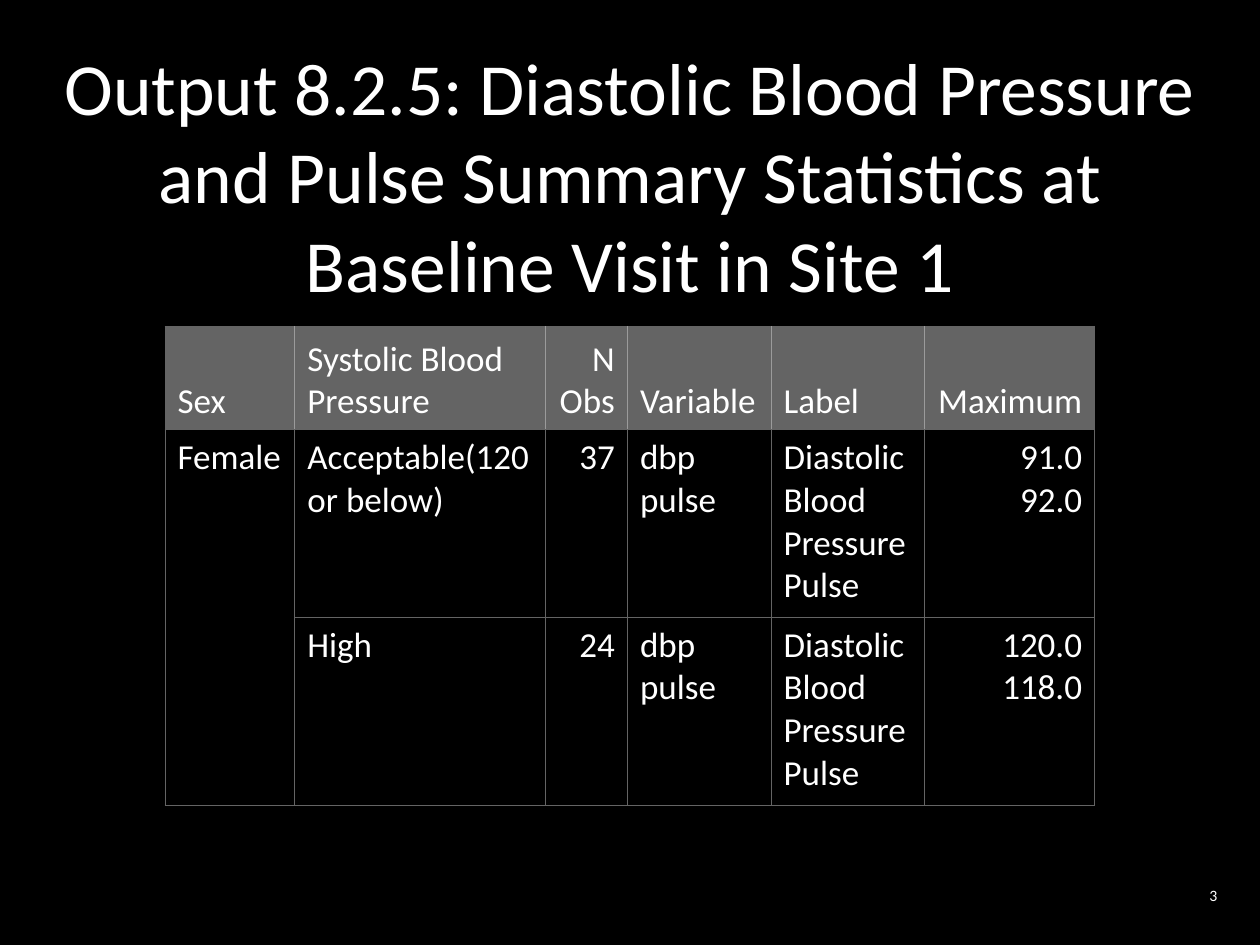
from lxml import etree
from pptx import Presentation
from pptx.dml.color import RGBColor
from pptx.enum.text import MSO_ANCHOR, MSO_AUTO_SIZE, PP_ALIGN
from pptx.oxml.ns import qn
from pptx.util import Inches, Pt

LEFT, MID, RIGHT = PP_ALIGN.LEFT, PP_ALIGN.CENTER, PP_ALIGN.RIGHT
TOP, CENTER, BOTTOM = MSO_ANCHOR.TOP, MSO_ANCHOR.MIDDLE, MSO_ANCHOR.BOTTOM

# Content
TITLE = ("Output 8.2.5: Diastolic Blood Pressure\n"
         "and Pulse Summary Statistics at\n"
         "Baseline Visit in Site 1")
PAGE = "3"
VARS = "dbp\npulse"
LABELS = "Diastolic\nBlood\nPressure\nPulse"
ROWS = [
    ("Sex", "Systolic Blood\nPressure", "N\nObs", "Variable", "Label",
     "Maximum"),
    ("Female", "Acceptable(120\nor below)", "37", VARS, LABELS,
     "91.0\n92.0"),
    ("", "High", "24", VARS, LABELS, "120.0\n118.0"),
]
ALIGNS = (LEFT, LEFT, RIGHT, LEFT, LEFT, RIGHT)
WIDTHS = (1.03, 1.99, 0.65, 1.14, 1.22, 1.35)
HEIGHTS = (0.82, 1.49, 1.49)

THEME = {
    "font": "Calibri", "back": "000000", "text": "FFFFFF",
    "grid": "646464", "inner": "9B9B9B",
    "title": 42, "cell": 20, "page": 9, "line": 0.5,
}


def color(name):
    return RGBColor.from_string(THEME[name])


def write(frame, text, size, align, anchor):
    """Put text in a frame, one run per line."""
    frame.word_wrap = True
    frame.vertical_anchor = anchor
    para = frame.paragraphs[0]
    para.alignment = align
    for i, line in enumerate(text.split("\n")):
        if i:
            para.add_line_break()
        run = para.add_run()
        run.text = line
        run.font.name = THEME["font"]
        run.font.size = Pt(THEME[size])
        run.font.color.rgb = color("text")


def border(cell, sides):
    """Draw cell edges; sides maps L, R, T, B to theme colours."""
    props = cell._tc.get_or_add_tcPr()
    for side, name in sides.items():
        line = etree.SubElement(props, qn("a:ln" + side),
                                w=str(Pt(THEME["line"])))
        fill = etree.SubElement(line, qn("a:solidFill"))
        etree.SubElement(fill, qn("a:srgbClr"), val=THEME[name])


def add_title(slide):
    title = slide.shapes.title
    title.left, title.top = Inches(0.25), Inches(0.25)
    title.width, title.height = Inches(9.5), Inches(2.27)
    write(title.text_frame, TITLE, "title", MID, CENTER)
    title.text_frame.auto_size = MSO_AUTO_SIZE.NONE


def add_stats(slide):
    table = slide.shapes.add_table(
        len(ROWS), len(WIDTHS), Inches(1.31), Inches(2.59),
        Inches(sum(WIDTHS)), Inches(sum(HEIGHTS))).table
    table.horz_banding = False
    for col, width in zip(table.columns, WIDTHS):
        col.width = Inches(width)
    for row, height in zip(table.rows, HEIGHTS):
        row.height = Inches(height)

    last = len(WIDTHS) - 1
    for r, row in enumerate(ROWS):
        head = r == 0
        inner = "inner" if head else "grid"
        for c, text in enumerate(row):
            cell = table.cell(r, c)
            border(cell, {"L": inner if c else "grid",
                          "R": inner if c < last else "grid",
                          "T": "grid", "B": inner})
            if head:
                cell.fill.solid()
                cell.fill.fore_color.rgb = color("grid")
            else:
                cell.fill.background()
            if text:
                write(cell.text_frame, text, "cell", ALIGNS[c], TOP)
            cell.vertical_anchor = BOTTOM if head else TOP
    # One sex label covers both pressure groups
    table.cell(1, 0).merge(table.cell(2, 0))


def add_page(slide):
    box = slide.shapes.add_textbox(Inches(7.38), Inches(6.96),
                                   Inches(2.38), Inches(0.29))
    write(box.text_frame, PAGE, "page", RIGHT, CENTER)


def main():
    deck = Presentation()
    deck.slide_width, deck.slide_height = Inches(10), Inches(7.5)
    slide = deck.slides.add_slide(deck.slide_layouts[5])
    slide.background.fill.solid()
    slide.background.fill.fore_color.rgb = color("back")
    add_title(slide)
    add_stats(slide)
    add_page(slide)
    deck.save("out.pptx")


if __name__ == "__main__":
    main()
